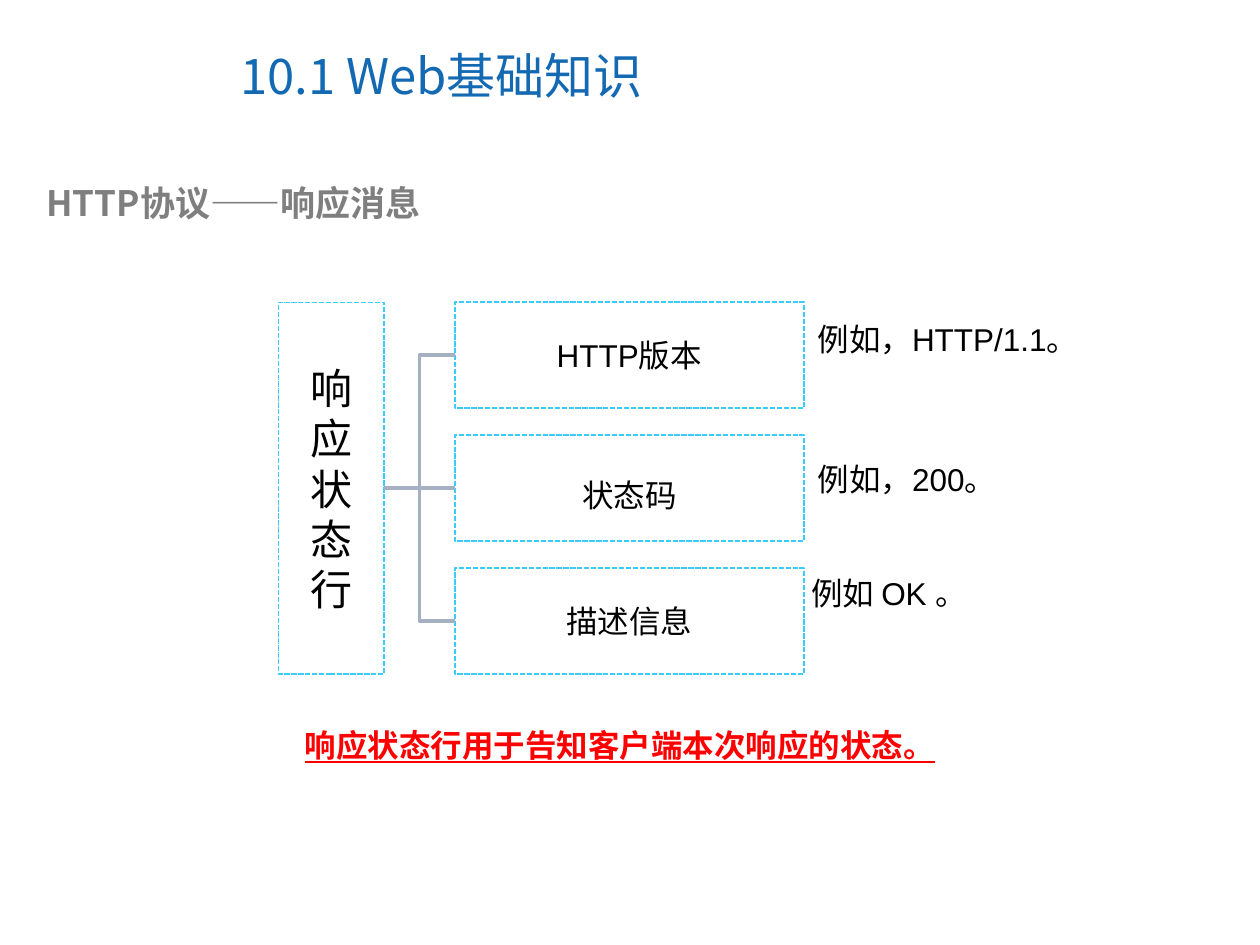
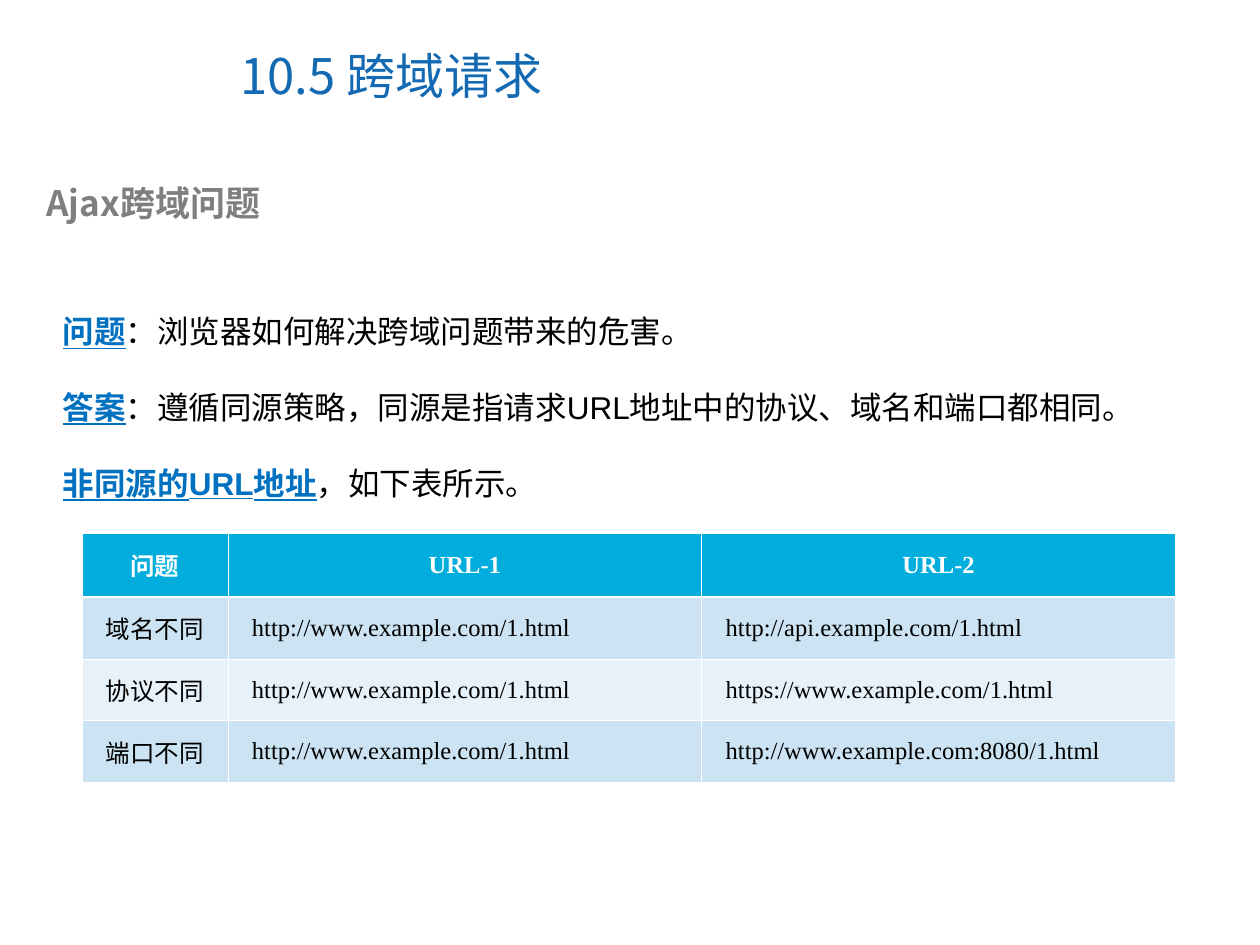
from dataclasses import dataclass

from pptx import Presentation
from pptx.dml.color import RGBColor
from pptx.enum.dml import MSO_LINE
from pptx.enum.shapes import MSO_CONNECTOR, MSO_SHAPE
from pptx.enum.text import MSO_ANCHOR, PP_ALIGN
from pptx.oxml.ns import qn
from pptx.util import Inches, Pt
from lxml import etree

RECT = MSO_SHAPE.RECTANGLE
ELBOW = MSO_CONNECTOR.ELBOW
STRAIGHT = MSO_CONNECTOR.STRAIGHT
DASH = MSO_LINE.SQUARE_DOT
MIDDLE = MSO_ANCHOR.MIDDLE
CENTER = PP_ALIGN.CENTER
LEFT_SITE, RIGHT_SITE = 1, 3


@dataclass(frozen=True)
class Theme:
    title: str = "1369B2"
    head: str = "7F7F7F"
    ink: str = "000000"
    paper: str = "FFFFFF"
    alert: str = "FF0000"
    key: str = "0070C0"
    edge: str = "3BCCFF"
    link: str = "A5B1C2"
    top: str = "00ADDC"
    bands: tuple = ("CBE3F2", "E7F1F9")
    sans: str = "Noto Sans CJK SC"
    body: str = "Arial"
    serif: str = "Times New Roman"
    title_size: int = 28
    stem_size: int = 24
    head_size: int = 20
    body_size: int = 18
    cell_size: int = 14


T = Theme()


def add(parent, tag, **attrs):
    return etree.SubElement(parent, qn(tag), attrs)


def style(run, size=T.body_size, color=T.ink, face=T.body, bold=False, under=False):
    font = run.font
    font.size = Pt(size)
    font.bold = bold
    font.underline = under
    font.color.rgb = RGBColor.from_string(color)
    font.name = face
    add(font._element, "a:ea", typeface=T.sans)


def write(frame, text, **looks):
    frame.text = text
    para = frame.paragraphs[0]
    style(para.runs[0], **looks)
    return para


def text_box(slide, box):
    frame = slide.shapes.add_textbox(*map(Inches, box)).text_frame
    frame.word_wrap = True
    return frame


def header(slide, title, number, topic):
    frame = text_box(slide, (1.81, 0.17, 5.16, 0.85))
    frame.vertical_anchor = MIDDLE
    write(frame, title, size=T.title_size, color=T.title, face=T.sans)

    frame = text_box(slide, (0.27, 1.39, 9.22, 0.44))
    props = frame.paragraphs[0]._p.get_or_add_pPr()
    props.set("marL", str(Inches(0.5)))
    props.set("indent", str(Inches(-0.5)))
    add(add(props, "a:buClr"), "a:srgbClr", val=T.head)
    add(props, "a:buFont", typeface="+mj-lt")
    add(props, "a:buAutoNum", type="arabicPeriod", startAt=str(number))
    write(frame, topic, size=T.head_size, color=T.head, face=T.sans, bold=True)


def node(slide, box, text, size=T.body_size, side=0.1, drop=0):
    shape = slide.shapes.add_shape(RECT, *map(Inches, box))
    shape.shadow.inherit = False
    shape.fill.solid()
    shape.fill.fore_color.rgb = RGBColor.from_string(T.paper)
    shape.line.color.rgb = RGBColor.from_string(T.edge)
    shape.line.width = Pt(1)
    shape.line.dash_style = DASH
    frame = shape.text_frame
    frame.word_wrap = True
    frame.vertical_anchor = MIDDLE
    frame.margin_left = frame.margin_right = Inches(side)
    frame.margin_top = Inches(0.05 + 2 * drop)
    write(frame, text, size=size).alignment = CENTER
    return shape


def join(slide, start, end, kind):
    line = slide.shapes.add_connector(kind, 0, 0, 0, 0)
    line.begin_connect(start, RIGHT_SITE)
    line.end_connect(end, LEFT_SITE)
    line.line.color.rgb = RGBColor.from_string(T.link)
    line.line.width = Pt(2)
    add(line._element.spPr, "a:effectLst")


def tree(slide, box, root, leaves):
    left, top, width, height = box
    thick, gap = 0.84, 0.56
    stem = node(slide, (left, top, thick, height), root, T.stem_size, side=0.2)
    step = (height - thick) / (len(leaves) - 1)
    start = left + thick + gap
    for i, (text, drop) in enumerate(leaves):
        place = (start, top + i * step, left + width - start, thick)
        leaf = node(slide, place, text, drop=drop)
        middle = 2 * i == len(leaves) - 1
        join(slide, stem, leaf, STRAIGHT if middle else ELBOW)


def notes(slide, left, top, items):
    for text, right, down, space in items:
        frame = text_box(slide, (left + right, top + down, 2.5, 0.4))
        write(frame, text).line_spacing = space


def points(slide, box, items):
    frame = text_box(slide, box)
    for i, (term, rest) in enumerate(items):
        para = frame.add_paragraph() if i else frame.paragraphs[0]
        para.line_spacing = 2.0
        for text, looks in (
            (term, {"color": T.key, "bold": True, "under": True}),
            (rest, {}),
        ):
            run = para.add_run()
            run.text = text
            style(run, **looks)


def border(cell, row):
    props = cell._tc.get_or_add_tcPr()
    thick = {"T": row == 1, "B": row == 0}
    for side in "LRTB":
        width = Pt(1.47 if thick.get(side) else 0.45)
        line = add(props, f"a:ln{side}", w=str(width))
        add(add(line, "a:solidFill"), "a:srgbClr", val=T.paper)


def grid(slide, box, widths, heights, rows):
    table = slide.shapes.add_table(len(rows), len(widths), *map(Inches, box)).table
    for col, width in zip(table.columns, widths):
        col.width = Inches(width)
    for r, texts in enumerate(rows):
        table.rows[r].height = Inches(heights[r])
        top = r == 0
        for c, text in enumerate(texts):
            cell = table.cell(r, c)
            border(cell, r)
            cell.fill.solid()
            shade = T.top if top else T.bands[(r - 1) % 2]
            cell.fill.fore_color.rgb = RGBColor.from_string(shade)
            cell.vertical_anchor = MIDDLE
            cell.margin_left = cell.margin_right = Inches(0.07)
            para = write(cell.text_frame, text, size=T.cell_size, face=T.serif,
                         color=T.paper if top else T.ink, bold=top)
            if top:
                para.alignment = CENTER
            else:
                props = para._p.get_or_add_pPr()
                props.set("marL", str(Inches(0.12)))
                props.set("indent", "0")


def status(slide):
    header(slide, "10.1 Web基础知识", 2, "HTTP协议——响应消息")
    tree(slide, (2.21, 2.4, 4.17, 2.95), "响应状态行",
         [("HTTP版本", 0), ("状态码", 0.05), ("描述信息", 0)])
    notes(slide, 6.39, 2.34, [
        ("例如，HTTP/1.1。", 0, 0, 1.5),
        ("例如，200。", 0, 1.11, 1.5),
        ("例如 OK 。", -0.05, 2.17, 1.0),
    ])
    frame = text_box(slide, (2.32, 5.71, 5.46, 0.4))
    write(frame, "响应状态行用于告知客户端本次响应的状态。",
          color=T.alert, bold=True, under=True)


def origin(slide):
    header(slide, "10.5 跨域请求", 1, "Ajax跨域问题")
    points(slide, (0.4, 2.13, 9.19, 1.9), [
        ("问题", "：浏览器如何解决跨域问题带来的危害。"),
        ("答案", "：遵循同源策略，同源是指请求URL地址中的协议、域名和端口都相同。"),
        ("非同源的URL地址", "，如下表所示。"),
    ])
    page = "http://www.example.com/1.html"
    grid(slide, (0.65, 4.23, 8.68, 1.98), (1.16, 3.76, 3.76), (0.51, 0.49, 0.49, 0.49), [
        ("问题", "URL-1", "URL-2"),
        ("域名不同", page, "http://api.example.com/1.html"),
        ("协议不同", page, "https://www.example.com/1.html"),
        ("端口不同", page, "http://www.example.com:8080/1.html"),
    ])


def main():
    deck = Presentation()
    deck.slide_width, deck.slide_height = Inches(10), Inches(7.5)
    for build in (status, origin):
        build(deck.slides.add_slide(deck.slide_layouts[6]))
    deck.save("out.pptx")


if __name__ == "__main__":
    main()
